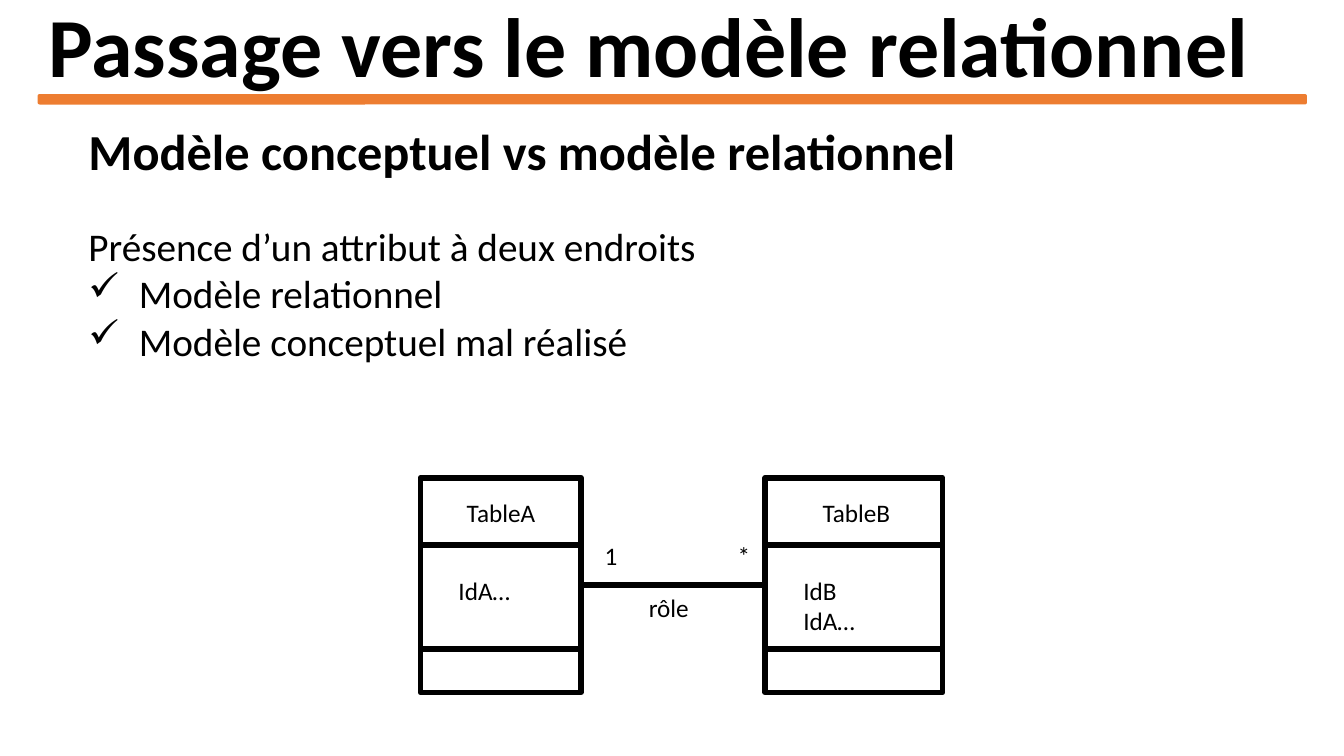
from dataclasses import dataclass

from lxml.etree import SubElement
from pptx import Presentation
from pptx.dml.color import RGBColor
from pptx.enum.shapes import MSO_CONNECTOR as Connector, MSO_SHAPE as Shape
from pptx.enum.text import MSO_ANCHOR as Anchor, PP_ALIGN as Align
from pptx.oxml.ns import qn
from pptx.util import Inches, Pt


@dataclass(frozen=True)
class Theme:
    font: str = "Calibri"
    ink: RGBColor = RGBColor(0, 0, 0)
    paper: RGBColor = RGBColor(255, 255, 255)
    accent: RGBColor = RGBColor(0xED, 0x7D, 0x31)
    title: int = 60
    heading: int = 36
    body: int = 28
    label: int = 18
    stroke: int = 4


class SlideBuilder:
    def __init__(self, deck, theme):
        self.deck = deck
        self.theme = theme
        self.slide = deck.slides.add_slide(deck.slide_layouts[5])

    def x(self, percent):
        return round(self.deck.slide_width * percent / 100)

    def y(self, percent):
        return round(self.deck.slide_height * percent / 100)

    def box(self, left, top, width, height):
        return self.x(left), self.y(top), self.x(width), self.y(height)

    def add_words(self, paragraph, words, size, bold=False, align=Align.LEFT):
        paragraph.alignment = align
        run = paragraph.add_run()
        run.text = words
        run.font.name = self.theme.font
        run.font.size = Pt(size)
        run.font.bold = bold
        run.font.color.rgb = self.theme.ink

    def title(self, words, area):
        holder = self.slide.shapes.title
        holder.left, holder.top, holder.width, holder.height = self.box(*area)
        holder.text_frame.vertical_anchor = Anchor.MIDDLE
        paragraph = holder.text_frame.paragraphs[0]
        paragraph.line_spacing = 0.9
        self.add_words(paragraph, words, self.theme.title, bold=True)

    def text(self, lines, area, size, bold=False, align=Align.LEFT, checked=()):
        frame = self.slide.shapes.add_textbox(*self.box(*area)).text_frame
        frame.word_wrap = True
        for index, words in enumerate(lines):
            paragraph = frame.add_paragraph() if index else frame.paragraphs[0]
            if words in checked:
                self.check(paragraph)
            self.add_words(paragraph, words, size, bold, align)

    def check(self, paragraph):
        properties = paragraph._p.get_or_add_pPr()
        properties.set("marL", str(Inches(0.5)))
        properties.set("indent", str(-Inches(0.5)))
        SubElement(properties, qn("a:buChar")).set("char", "✓")

    def shape(self, kind, area, fill, line, weight):
        shape = self.slide.shapes.add_shape(kind, *self.box(*area))
        shape.shadow.inherit = False
        shape.fill.solid()
        shape.fill.fore_color.rgb = fill
        shape.line.color.rgb = line
        shape.line.width = Pt(weight)
        return shape

    def line(self, left, right, level):
        line = self.slide.shapes.add_connector(
            Connector.STRAIGHT, self.x(left), self.y(level), self.x(right), self.y(level))
        line.line.color.rgb = self.theme.ink
        line.line.width = Pt(self.theme.stroke)
        SubElement(line._element.spPr, qn("a:effectLst"))
        return line

    def label(self, words, left, top, width, align=Align.LEFT):
        self.text([words], (left, top, width, 5.33), self.theme.label, align=align)

    def entity(self, name, attributes, left, width, name_span, attribute_span):
        theme = self.theme
        frame = self.shape(Shape.RECTANGLE, (left, 63.2, width, 28.4),
                           theme.paper, theme.ink, theme.stroke)
        for level in (72.13, 85.87):
            self.line(left, left + width, level)
        name_left, name_width = name_span
        self.label(name, name_left, 65.07, name_width, Align.CENTER)
        attribute_left, attribute_width = attribute_span
        height = 1.33 + 4 * len(attributes)
        self.text(attributes, (attribute_left, 75.47, attribute_width, height), theme.label)
        return frame

    def association(self, source, target, left, right):
        link = self.line(left, right, 77.4)
        link.begin_connect(source, 3)
        link.end_connect(target, 1)


def main():
    deck = Presentation()
    deck.slide_width, deck.slide_height = Inches(13.333), Inches(7.5)
    theme = Theme()
    page = SlideBuilder(deck, theme)

    page.title("Passage vers le modèle relationnel", (2.85, 0, 94.35, 13.33))
    page.text(["Modèle conceptuel vs modèle relationnel"], (5.85, 15.2, 88.35, 9.47),
              theme.heading, bold=True, align=Align.JUSTIFY)
    page.shape(Shape.ROUNDED_RECTANGLE, (2.85, 12.53, 94.35, 1.2),
               theme.accent, theme.accent, 1)

    models = ["Modèle relationnel", "Modèle conceptuel mal réalisé"]
    page.text(["Présence d’un attribut à deux endroits", *models],
              (5.85, 28.8, 88.35, 20.13), theme.body, align=Align.JUSTIFY, checked=models)

    table_a = page.entity("TableA", ["IdA…"], 31.28, 11.96, (31.88, 10.8), (33.38, 8.7))
    table_b = page.entity("TableB", ["IdB", "IdA…"], 56.93, 13.2, (59.03, 9.38), (59.03, 6.83))
    page.association(table_a, table_b, 43.24, 56.93)
    page.label("1", 44.25, 70.8, 1.73)
    page.label("*", 54.15, 70.8, 2.7)
    page.label("rôle", 43.8, 77.73, 11.93, Align.CENTER)

    deck.save("out.pptx")


if __name__ == "__main__":
    main()
